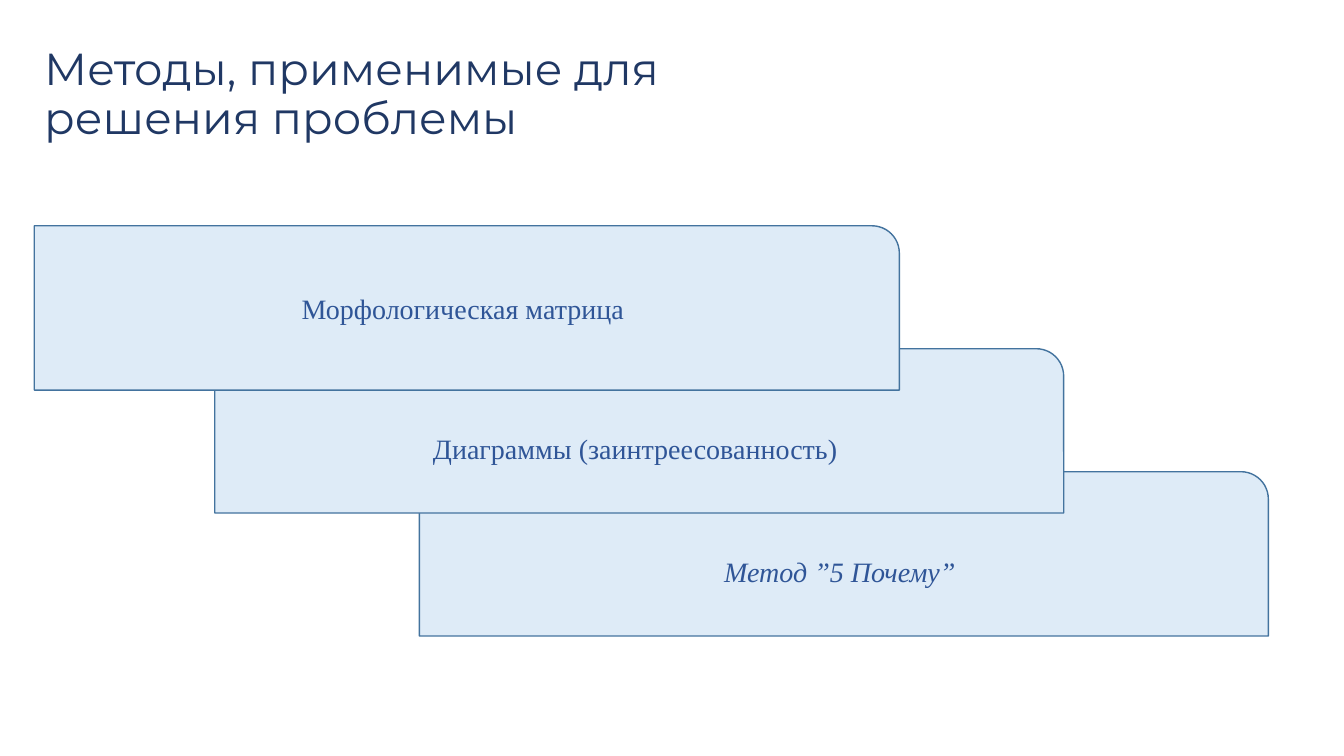
import pptx
import pptx.util
import pptx.dml.color
import pptx.enum.shapes
import pptx.enum.text

PX = 9144  # EMU per px, 100 px to the inch
COLOURS = {"title": "203864", "text": "2F5597", "fill": "DEEBF7", "line": "43739E"}


def colour(name):
    return pptx.dml.color.RGBColor.from_string(COLOURS[name])


class StepSlide:
    title_font = "Montserrat"
    step_font = "Times New Roman"

    def __init__(self, deck):
        self.page = deck.slides.add_slide(deck.slide_layouts[6])

    def set_text(self, box, text, font, size, ink, align, italic=False):
        frame = box.text_frame
        frame.word_wrap = True
        frame.vertical_anchor = pptx.enum.text.MSO_ANCHOR.MIDDLE
        para = frame.paragraphs[0]
        para.text = text
        para.alignment = align
        para.font.name = font
        para.font.size = pptx.util.Pt(size)
        para.font.italic = italic
        para.font.color.rgb = colour(ink)
        return frame

    def title(self, text, left, top, width, height):
        box = self.page.shapes.add_textbox(left * PX, top * PX, width * PX, height * PX)
        frame = self.set_text(box, text, self.title_font, 32, "title",
                              pptx.enum.text.PP_ALIGN.LEFT)
        frame.paragraphs[0].line_spacing = 0.9

    def step(self, text, left, top, width, height, inset, italic):
        box = self.page.shapes.add_shape(
            pptx.enum.shapes.MSO_SHAPE.ROUND_1_RECTANGLE,
            left * PX, top * PX, width * PX, height * PX)
        box.shadow.inherit = False
        box.fill.solid()
        box.fill.fore_color.rgb = colour("fill")
        box.line.color.rgb = colour("line")
        box.line.width = pptx.util.Pt(1)
        frame = self.set_text(box, text, self.step_font, 20, "text",
                              pptx.enum.text.PP_ALIGN.CENTER, italic)
        frame.margin_top = inset * PX


def main():
    deck = pptx.Presentation()
    deck.slide_width, deck.slide_height = 1333 * PX, 750 * PX
    slide = StepSlide(deck)

    # Title
    slide.title("Методы, применимые для решения проблемы", 34, 24, 763, 141)

    # Overlapping steps: text, left, width, top inset, italic
    steps = [
        ("Морфологическая матрица", 34, 858, 5, False),
        ("Диаграммы (заинтреесованность)", 213, 842, 39, False),
        ("Метод ”5 Почему”", 416, 842, 39, True),
    ]
    first_top, pitch, height = 224, 122, 163
    # The lowest step lies at the back
    for index, (text, left, width, inset, italic) in reversed(list(enumerate(steps))):
        slide.step(text, left, first_top + index * pitch, width, height, inset, italic)

    deck.save("out.pptx")


if __name__ == "__main__":
    main()
